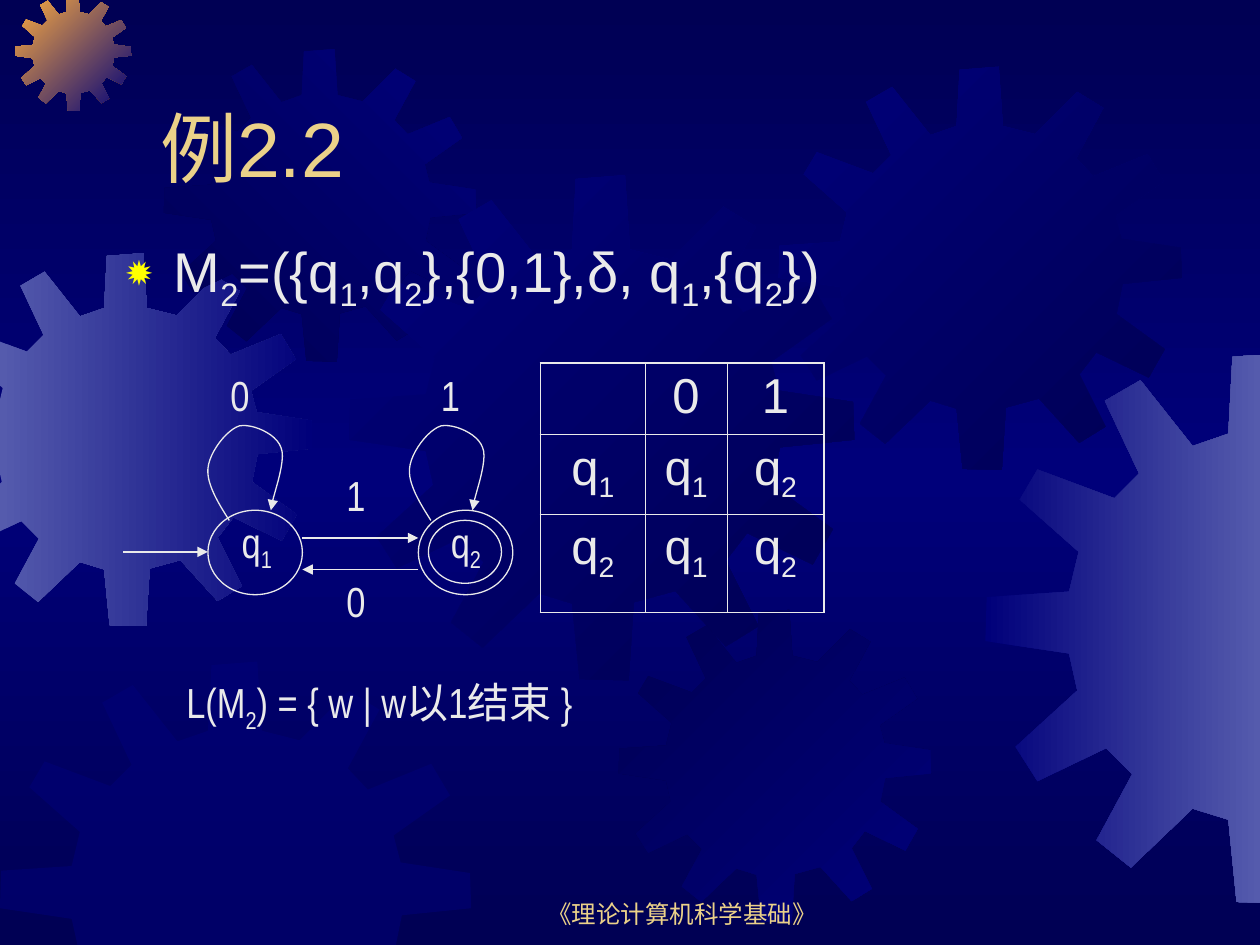
"""Build a slide on a two-state automaton, with gears behind its diagram and table."""
import copy

from lxml import etree
from pptx import Presentation
from pptx.dml.color import RGBColor
from pptx.enum import shapes, text
from pptx.oxml.ns import qn
from pptx.util import Emu, Inches, Pt

NAVY = RGBColor(0x00, 0x00, 0x54)
BLUE = RGBColor(0x00, 0x00, 0x7A)
LILAC = RGBColor(0x55, 0x5B, 0xAD)
ORANGE = RGBColor(0xFC, 0xAB, 0x40)
GOLD = RGBColor(0xEB, 0xD1, 0x89)
PALE = RGBColor(0xEA, 0xEA, 0xEA)

WIDTH, HEIGHT = 10, 7.5
GEAR_SIZE = 401
GEAR_OUTLINE = [
    (255, 67), (223, 59), (219, 0), (180, 3), (177, 59), (151, 68), (113, 20), (87, 35),
    (112, 88), (94, 106), (38, 85), (25, 107), (68, 145), (61, 174), (1, 178), (0, 210),
    (61, 219), (67, 246), (22, 287), (38, 312), (88, 288), (107, 307), (81, 355), (106, 375),
    (151, 332), (177, 340), (183, 400), (222, 401), (226, 339), (259, 330), (299, 374), (325, 358),
    (299, 306), (316, 284), (368, 309), (384, 281), (336, 246), (342, 216), (401, 210), (400, 180),
    (341, 171), (335, 148), (383, 114), (367, 87), (313, 109), (296, 91), (323, 41), (297, 25),
]
GEARS = [
    (-0.48, 2.01, 2.96, (LILAC, BLUE), 0),
    (0.12, -0.04, 0.92, (ORANGE, BLUE), 45),
    (1.3, 0.39, 2.48, (NAVY, BLUE), 315),
    (2.77, 1.39, 4.01, (NAVY, BLUE)[::-1], 45),
    (0, 5.25, 3.74, (BLUE,), 0),
    (4.91, 4.84, 2.48, (NAVY, BLUE), 45),
    (6.18, 0.53, 3.2, (BLUE, NAVY), 45),
    (7.82, 2.8, 4.37, (BLUE, LILAC), 0),
]
TITLE = "例2.2"
FOOTER = "《理论计算机科学基础》"
DEFINITION = "M_2=({q_1,q_2},{0,1},δ, q_1,{q_2})"
TRANSITIONS = [["", "0", "1"], ["q_1", "q_1", "q_2"], ["q_2", "q_1", "q_2"]]
COLUMNS, ROWS = [0.83, 0.65, 0.77], [0.57, 0.6, 0.78]
CIRCLES = [(1.65, 4.05, 0.75, 0.67), (3.32, 4.05, 0.75, 0.67), (3.4, 4.13, 0.58, 0.5)]
ARROWS = [((0.98, 4.38), (1.65, 4.38)), ((2.4, 4.27), (3.32, 4.27)), ((3.32, 4.52), (2.4, 4.52))]
LOOP = [(1.82, 4.13), (1.73, 3.99), (1.64, 3.84), (1.65, 3.72), (1.66, 3.59), (1.8, 3.41),
        (1.9, 3.38), (2, 3.36), (2.19, 3.44), (2.23, 3.55), (2.28, 3.66), (2.15, 3.97), (2.15, 4.05)]
LOOP_SHIFTS = [0, 1.6]
LABELS = [
    ("q_1", 1.82, 4.05, 0.5, 0.56), ("q_2", 3.48, 4.05, 0.5, 0.56),
    ("0", 1.73, 2.88, 0.5, 0.5), ("1", 2.65, 3.68, 0.5, 0.5),
    ("1", 3.4, 2.88, 0.5, 0.5), ("0", 2.65, 4.52, 0.5, 0.5),
    ("L(M_2) = { w | w以1结束 }", 1.38, 5.32, 4.58, 0.56),
]


def add_node(parent, tag, **attributes):
    return etree.SubElement(parent, qn(tag), **attributes)


def write(frame, content, size=24, font="Arial Narrow", color=PALE, align=text.PP_ALIGN.LEFT,
          anchor=text.MSO_ANCHOR.TOP, before=0):
    """Write text in which an underscore lowers the next character."""
    frame.word_wrap = True
    frame.vertical_anchor = anchor
    para = frame.paragraphs[0]
    para.alignment = align
    para.space_before = Pt(before)
    first, *rest = content.split("_")
    pieces = [(first, False)]
    for part in rest:
        pieces += [(part[0], True), (part[1:], False)]
    for piece, lowered in pieces:
        if piece:
            span = para.add_run()
            span.text = piece
            span.font.size, span.font.name = Pt(size), font
            span.font.color.rgb = color
            if lowered:
                span.font._element.set("baseline", "-25000")
    return para


def add_text(page, content, left, top, width, height, **style):
    box = page.shapes.add_textbox(Inches(left), Inches(top), Inches(width), Inches(height))
    return box, write(box.text_frame, content, **style)


def clip(points, axis, limit, sign):
    """Keep the part of a polygon on one side of a vertical or horizontal line."""
    kept = []
    for start, end in zip(points[-1:] + points[:-1], points):
        before, after = (sign * (point[axis] - limit) for point in (start, end))
        if (before < 0) != (after < 0):
            ratio = before / (before - after)
            kept.append(tuple(a + (b - a) * ratio for a, b in zip(start, end)))
        if after >= 0:
            kept.append(end)
    return kept


def add_outline(page, points, close):
    corners = [(Inches(x), Inches(y)) for x, y in points]
    builder = page.shapes.build_freeform(*corners[0])
    builder.add_line_segments(corners[1:], close=close)
    shape = builder.convert_to_shape(Emu(0), Emu(0))
    shape.shadow.inherit = False
    return shape


def paint_gradient(fill, colors, angle):
    fill.gradient()
    fill.gradient_angle = (360 - angle) % 360
    for stop, color, position in zip(fill.gradient_stops, colors, (0, 1)):
        stop.color.rgb = color
        stop.position = position


def add_gear(page, left, top, size, colors, angle):
    points = [(left + x * size / GEAR_SIZE, top + y * size / GEAR_SIZE) for x, y in GEAR_OUTLINE]
    for edge in ((0, 0, 1), (0, WIDTH, -1), (1, 0, 1), (1, HEIGHT, -1)):
        points = clip(points, *edge)
    gear = add_outline(page, points, True)
    gear.line.fill.background()
    if len(colors) == 2:
        paint_gradient(gear.fill, colors, angle)
    else:
        gear.fill.solid()
        gear.fill.fore_color.rgb = colors[0]
        add_node(gear._element.spPr.find(".//" + qn("a:srgbClr")), "a:alpha", val="50000")


def draw_line(shape, arrow=False):
    shape.line.color.rgb = PALE
    shape.line.width = Pt(0.75)
    if arrow:
        add_node(shape.line._get_or_add_ln(), "a:tailEnd", type="triangle")


def curve_points(controls, steps=12):
    points = [controls[0]]
    for i in range(0, len(controls) - 1, 3):
        for step in range(1, steps + 1):
            t = step / steps
            weights = ((1 - t) ** 3, 3 * t * (1 - t) ** 2, 3 * t * t * (1 - t), t ** 3)
            points.append(tuple(sum(w * p[axis] for w, p in zip(weights, controls[i:i + 4]))
                                for axis in (0, 1)))
    return points


def add_transition_table(page):
    table = page.shapes.add_table(3, 3, Inches(4.29), Inches(2.88),
                                  Inches(sum(COLUMNS)), Inches(sum(ROWS))).table
    table.first_row = table.horz_banding = False
    for column, width in zip(table.columns, COLUMNS):
        column.width = Inches(width)
    for r, (row, height) in enumerate(zip(TRANSITIONS, ROWS)):
        table.rows[r].height = Inches(height)
        for c, content in enumerate(row):
            cell = table.cell(r, c)
            write(cell.text_frame, content, size=28, font="Arial",
                  align=text.PP_ALIGN.CENTER, before=7)
            props = cell._tc.get_or_add_tcPr()
            for side, outer in (("L", c == 0), ("R", c == 2), ("T", r == 0), ("B", r == 2)):
                border = add_node(props, "a:ln" + side, w=str(Pt(1.08 if outer else 0.45)))
                add_node(add_node(border, "a:solidFill"), "a:srgbClr", val=str(PALE))
            cell.fill.background()


def main():
    deck = Presentation()
    deck.slide_width, deck.slide_height = Inches(WIDTH), Inches(HEIGHT)
    page = deck.slides.add_slide(deck.slide_layouts[5])
    paint_gradient(page.background.fill, (NAVY, BLUE), 90)
    stops = page._element.find(".//" + qn("a:gsLst"))
    stops.append(copy.deepcopy(stops[0]))
    stops[1].set("pos", "50000")
    stops[2].set("pos", "100000")

    for gear in GEARS:
        add_gear(page, *gear)

    title = page.shapes.title
    page.shapes._spTree.append(title._element)
    title.left, title.top, title.width, title.height = map(Inches, (1.17, 0.33, 8.5, 1.25))
    write(title.text_frame, TITLE, size=44, font="Arial", color=GOLD, anchor=text.MSO_ANCHOR.BOTTOM)
    add_text(page, FOOTER, 3.83, 6.92, 3.17, 0.5, size=14, font="Arial", color=GOLD,
             align=text.PP_ALIGN.CENTER, anchor=text.MSO_ANCHOR.BOTTOM)

    _, para = add_text(page, DEFINITION, 0.9, 1.83, 8.5, 0.83, size=32, font="Arial", before=8)
    props = para._p.get_or_add_pPr()
    props.set("marL", str(Inches(0.38)))
    props.set("indent", str(-Inches(0.38)))
    add_node(add_node(props, "a:buClr"), "a:srgbClr", val="FFFF00")
    add_node(props, "a:buSzPct", val="80000")
    add_node(props, "a:buChar", char="✹")

    add_transition_table(page)
    for place in CIRCLES:
        circle = page.shapes.add_shape(shapes.MSO_SHAPE.OVAL, *map(Inches, place))
        circle.shadow.inherit = False
        circle.fill.background()
        draw_line(circle)
    for start, end in ARROWS:
        arrow = page.shapes.add_connector(shapes.MSO_CONNECTOR.STRAIGHT, *map(Inches, start + end))
        draw_line(arrow, arrow=True)
        add_node(arrow._element.spPr, "a:effectLst")
    for shift in LOOP_SHIFTS:
        loop = add_outline(page, curve_points([(x + shift, y) for x, y in LOOP]), False)
        loop.fill.background()
        draw_line(loop, arrow=True)
    for label in LABELS:
        box, _ = add_text(page, *label, before=15)
        box.text_frame.auto_size = text.MSO_AUTO_SIZE.SHAPE_TO_FIT_TEXT
    deck.save("out.pptx")


if __name__ == "__main__":
    main()
